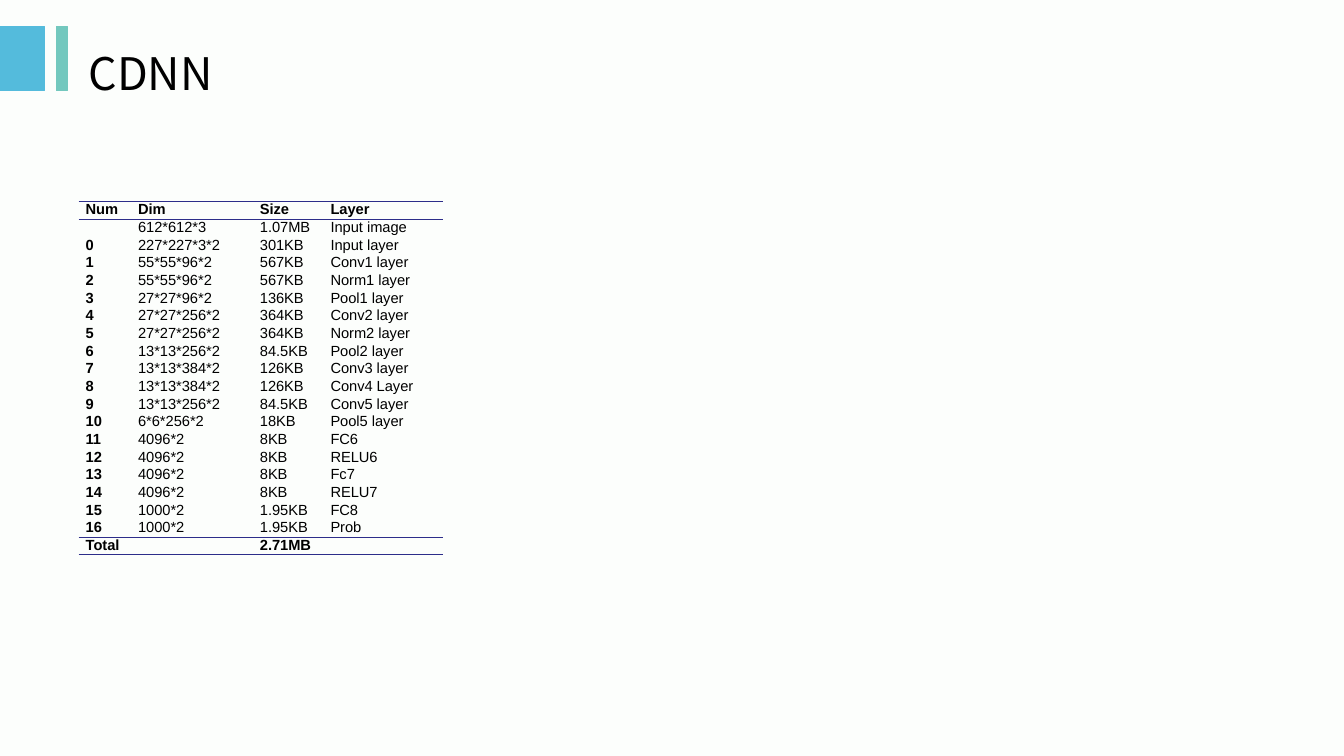
"""Build the CDNN slide: a title and a table of layer sizes."""
from lxml import etree
from pptx import Presentation, util as u
from pptx.dml.color import RGBColor
from pptx.enum import shapes, text
from pptx.oxml.ns import qn

TITLE = "CDNN"
ROWS = [
    ("Num", "Dim", "Size", "Layer "),
    ("", "612*612*3", "1.07MB", "Input image"),
    ("0", "227*227*3*2", "301KB", "Input layer"),
    ("1", "55*55*96*2", "567KB", "Conv1 layer"),
    ("2", "55*55*96*2", "567KB", "Norm1 layer"),
    ("3", "27*27*96*2", "136KB", "Pool1 layer"),
    ("4", "27*27*256*2", "364KB", "Conv2 layer"),
    ("5", "27*27*256*2", "364KB", "Norm2 layer"),
    ("6", "13*13*256*2", "84.5KB", "Pool2 layer"),
    ("7", "13*13*384*2", "126KB", "Conv3 layer"),
    ("8", "13*13*384*2", "126KB", "Conv4 Layer"),
    ("9", "13*13*256*2", "84.5KB", "Conv5 layer"),
    ("10", "6*6*256*2", "18KB", "Pool5 layer"),
    ("11", "4096*2", "8KB", "FC6"),
    ("12", "4096*2", "8KB", "RELU6"),
    ("13", "4096*2", "8KB", "Fc7"),
    ("14", "4096*2", "8KB", "RELU7"),
    ("15", "1000*2", "1.95KB", "FC8"),
    ("16", "1000*2", "1.95KB", "Prob"),
    ("Total", "", "2.71MB", ""),
]
COLS = (1.32, 3.07, 1.78, 3.02)
HIGH, LOW = 0.43, 0.41
LEFT, TOP = 1.98, 5.08
BARS = [(0, 1.12, "blue"), (1.42, 0.28, "teal")]
THEME = {
    "back": "FCFEFC", "blue": "54BBDC", "teal": "73C8BE",
    "rule": "2D2D8A", "ink": "000000",
    "head": {"name": "Noto Sans CJK SC", "size": u.Pt(32)},
    "body": {"name": "Arial", "size": u.Pt(10.5)},
}
PLAIN = "{2D5ABB26-0587-4C30-8999-92F81FD0307C}"


def put(obj, **vals):
    for key, val in vals.items():
        setattr(obj, key, val)


def hue(name):
    return RGBColor.from_string(THEME[name])


def write(para, words, style, **more):
    run = para.add_run()
    run.text = words
    put(run.font, **THEME[style], **more)
    run.font.color.rgb = hue("ink")


def rule(cell):
    prop = cell._tc.get_or_add_tcPr()
    for spot, side in enumerate(("a:lnT", "a:lnB")):
        line = etree.Element(qn(side), w=str(u.Pt(1)))
        fill = etree.SubElement(line, qn("a:solidFill"))
        etree.SubElement(fill, qn("a:srgbClr"), val=THEME["rule"])
        prop.insert(spot, line)


def add_bars(slide):
    group = slide.shapes.add_group_shape()
    for left, width, name in BARS:
        bar = group.shapes.add_shape(
            shapes.MSO_SHAPE.RECTANGLE,
            u.Cm(left), u.Cm(0.66), u.Cm(width), u.Cm(1.63))
        bar.shadow.inherit = False
        bar.fill.solid()
        bar.fill.fore_color.rgb = bar.line.color.rgb = hue(name)
        bar.line.width = u.Pt(0.75)


def add_title(slide):
    box = slide.shapes.add_textbox(
        u.Cm(LEFT), u.Cm(0.66), u.Cm(30.18), u.Cm(2.34))
    put(box.text_frame, word_wrap=True,
        vertical_anchor=text.MSO_ANCHOR.MIDDLE)
    write(box.text_frame.paragraphs[0], TITLE, "head")


def add_grid(slide):
    last = len(ROWS) - 1
    highs = [HIGH if 1 <= r <= 5 else LOW for r in range(len(ROWS))]
    frame = slide.shapes.add_table(
        len(ROWS), len(COLS), u.Cm(LEFT), u.Cm(TOP),
        u.Cm(sum(COLS)), u.Cm(sum(highs)))
    grid = frame.table
    put(grid, first_row=False, horz_banding=False)
    grid._tbl.tblPr.find(qn("a:tableStyleId")).text = PLAIN
    for col, width in zip(grid.columns, COLS):
        col.width = u.Cm(width)
    for r, (row, words) in enumerate(zip(grid.rows, ROWS)):
        row.height = u.Cm(highs[r])
        for c, (cell, word) in enumerate(zip(row.cells, words)):
            put(cell, margin_left=u.Cm(0.18), margin_right=u.Cm(0.18),
                margin_top=0, margin_bottom=0)
            cell.fill.background()
            para = cell.text_frame.paragraphs[0]
            para.alignment = text.PP_ALIGN.JUSTIFY
            if word:
                write(para, word, "body", bold=c == 0 or r in (0, last))
            else:
                etree.SubElement(para._p, qn("a:endParaRPr"), sz="1050")
            if r in (0, last):
                rule(cell)


def main():
    deck = Presentation()
    put(deck, slide_width=u.Cm(33.87), slide_height=u.Cm(19.05))
    slide = deck.slides.add_slide(deck.slide_layouts[6])
    slide.background.fill.solid()
    slide.background.fill.fore_color.rgb = hue("back")
    add_bars(slide)
    add_title(slide)
    add_grid(slide)
    deck.save("out.pptx")


if __name__ == "__main__":
    main()
